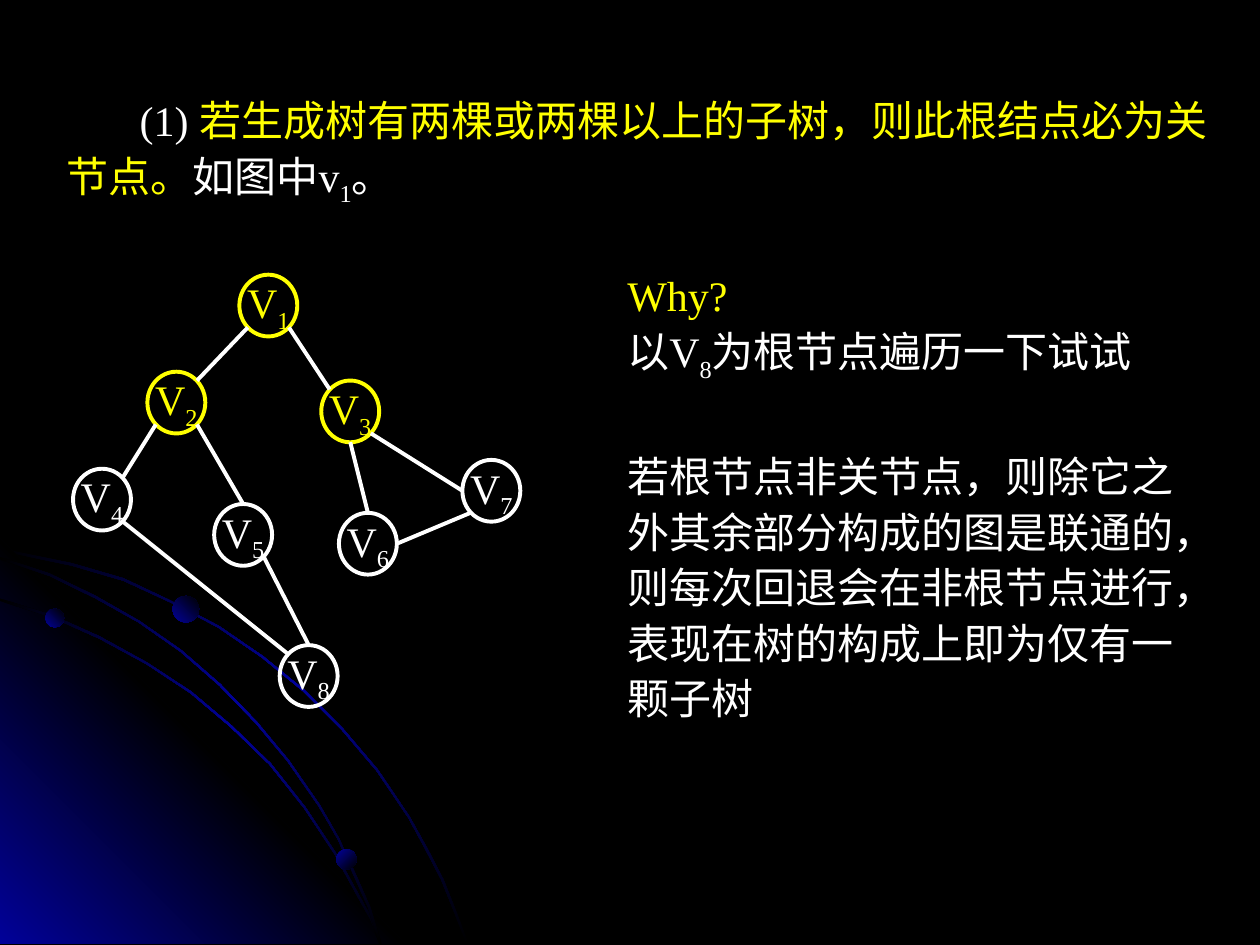
from lxml import etree
from pptx import Presentation
from pptx.dml.color import RGBColor
from pptx.enum.shapes import MSO_CONNECTOR, MSO_SHAPE
from pptx.enum.text import MSO_ANCHOR, PP_ALIGN
from pptx.oxml import parse_xml
from pptx.oxml.ns import nsdecls, qn
from pptx.util import Inches, Pt

BLACK, WHITE, YELLOW, BLUE = "000000", "FFFFFF", "FFFF00", "010199"
FONT = "Times New Roman"

# Content: text runs are (text, colour, is_subscript)
RULE = [[
    ("(1) ", WHITE, False),
    ("若生成树有两棵或两棵以上的子树，则此根结点必为关节点。", YELLOW, False),
    ("如图中v", WHITE, False), ("1", WHITE, True), ("。", WHITE, False),
]]
REASON = [
    [("Why?", YELLOW, False)],
    [("以V", WHITE, False), ("8", WHITE, True), ("为根节点遍历一下试试", WHITE, False)],
    [("若根节点非关节点，则除它之外其余部分构成的图是联通的，则每次回退会在"
      "非根节点进行，表现在树的构成上即为仅有一颗子树", WHITE, False)],
]

# Graph: node number -> (left, top, colour)
NODE_WIDTH, NODE_HEIGHT = 0.46, 0.49
NODES = {
    1: (1.9, 2.18, YELLOW), 2: (1.17, 2.95, YELLOW), 3: (2.55, 3.02, YELLOW),
    4: (0.58, 3.72, WHITE), 5: (1.7, 4, WHITE), 6: (2.69, 4.07, WHITE),
    7: (3.67, 3.65, WHITE), 8: (2.22, 5.12, WHITE),
}
EDGES = [
    (1, "bottom left", 2, "top right"), (2, "bottom left", 4, "top right"),
    (1, "bottom right", 3, "top left"), (4, "bottom right", 8, "top left"),
    (2, "bottom right", 5, "top"), (5, "bottom right", 8, "top"),
    (3, "bottom", 6, "top"), (3, "bottom right", 7, "left"),
    (6, "right", 7, "bottom left"),
]

# Backdrop: outer edges of the arcs, in hundredths of an inch
WIDE_ARC = [(0, 435), (28, 441), (57, 447), (98, 459), (136, 477), (174, 497),
            (209, 521), (242, 548), (272, 578), (300, 611), (325, 648),
            (339, 673), (352, 698), (362, 723), (372, 749)]
LOW_ARC = [(0, 475), (41, 488), (79, 505), (117, 526), (152, 549), (184, 576),
           (215, 606), (242, 640), (266, 676), (286, 712), (296, 730), (303, 749)]
MIDDLE_ARC = [(0, 442), (39, 455), (76, 473), (111, 493), (144, 516), (175, 543),
              (204, 573), (229, 603), (254, 639), (269, 665), (282, 693),
              (294, 720), (303, 749)]
CORNER = [(0, 427), (322, 749), (0, 749)]
DOTS = [(0.36, 4.83, 0.15, 315), (2.67, 6.74, 0.16, 45), (1.37, 4.73, 0.21, 315)]


def rgb(colour):
    return RGBColor.from_string(colour)


def fill_gradient(shape, colours, angle):
    """Spread the colours evenly; the angle runs clockwise."""
    shape.shadow.inherit = False
    shape.line.fill.background()
    step = 100000 // (len(colours) - 1)
    stops = "".join(f'<a:gs pos="{i * step}"><a:srgbClr val="{colour}"/></a:gs>'
                    for i, colour in enumerate(colours))
    gradient = parse_xml(
        f'<a:gradFill {nsdecls("a")} rotWithShape="1"><a:gsLst>{stops}</a:gsLst>'
        f'<a:lin ang="{angle * 60000}" scaled="0"/></a:gradFill>')
    shape._element.spPr.find(qn("a:ln")).addprevious(gradient)


def add_outline(points, colours, angle):
    builder = shapes.build_freeform(*points[0], scale=Inches(0.01))
    builder.add_line_segments(points[1:], close=True)
    fill_gradient(builder.convert_to_shape(), colours, angle)


def add_arc(outer):
    # The band is two hundredths thick, turning from vertical to horizontal
    last = len(outer) - 1
    inner = [(x - 2 * i / last, y + 2 * (1 - i / last))
             for i, (x, y) in enumerate(outer)]
    add_outline(outer + inner[::-1], [BLACK, BLUE, BLACK], 45)


def fill_paragraph(paragraph, runs):
    paragraph.font.size = Pt(24)
    paragraph.font.name = FONT
    for text, colour, is_subscript in runs:
        run = paragraph.add_run()
        run.text = text
        run.font.color.rgb = rgb(colour)
        if is_subscript:
            run.font._element.set("baseline", "-25000")


def add_text(left, top, width, height, paragraphs):
    frame = shapes.add_textbox(*map(Inches, (left, top, width, height))).text_frame
    frame.word_wrap = True
    for i, runs in enumerate(paragraphs):
        paragraph = frame.add_paragraph() if i else frame.paragraphs[0]
        paragraph.line_spacing = 1.1
        fill_paragraph(paragraph, runs)
    return frame


def add_node(number, left, top, colour):
    node = shapes.add_shape(MSO_SHAPE.OVAL, Inches(left), Inches(top),
                            Inches(NODE_WIDTH), Inches(NODE_HEIGHT))
    node.shadow.inherit = False
    node.fill.background()
    node.line.color.rgb = rgb(colour)
    node.line.width = Pt(2.25)
    frame = node.text_frame
    frame.word_wrap = False
    frame.vertical_anchor = MSO_ANCHOR.MIDDLE
    frame.paragraphs[0].alignment = PP_ALIGN.CENTER
    fill_paragraph(frame.paragraphs[0],
                   [("V", colour, False), (str(number), colour, True)])


def site(number, side):
    """Point on the rim of a node; diagonal sides lie at 45 degrees."""
    left, top, _ = NODES[number]
    reach = 0.5 * (0.71 if " " in side else 1)
    across = ("right" in side) - ("left" in side)
    down = ("bottom" in side) - ("top" in side)
    return (Inches(left + NODE_WIDTH * (0.5 + reach * across)),
            Inches(top + NODE_HEIGHT * (0.5 + reach * down)))


def add_edge(start, start_side, end, end_side):
    edge = shapes.add_connector(MSO_CONNECTOR.STRAIGHT,
                                *site(start, start_side), *site(end, end_side))
    edge.line.color.rgb = rgb(WHITE)
    edge.line.width = Pt(2.25)
    etree.SubElement(edge._element.spPr, qn("a:effectLst"))


presentation = Presentation()
presentation.slide_width, presentation.slide_height = Inches(10), Inches(7.5)
slide = presentation.slides.add_slide(presentation.slide_layouts[6])
slide.background.fill.solid()
slide.background.fill.fore_color.rgb = rgb(BLACK)
shapes = slide.shapes

# Backdrop
add_arc(WIDE_ARC)
add_outline(CORNER, [BLUE, BLACK, BLUE], 315)
add_arc(LOW_ARC)
add_arc(MIDDLE_ARC)
for left, top, size, angle in DOTS:
    dot = shapes.add_shape(MSO_SHAPE.OVAL, *map(Inches, (left, top, size, size)))
    fill_gradient(dot, [BLUE, BLACK], angle)

# Rule, with an indented first line
rule = add_text(0.43, 0.66, 9.34, 0.99, RULE)
rule.paragraphs[0]._p.get_or_add_pPr().set("indent", str(Inches(0.58)))

# Graph
for number, node in NODES.items():
    add_node(number, *node)
for edge in EDGES:
    add_edge(*edge)

# Reason, with a gap before the explanation
reason = add_text(4.88, 2.05, 4.79, 4.54, REASON)
reason.paragraphs[-1].space_before = Pt(36)

presentation.save("out.pptx")
